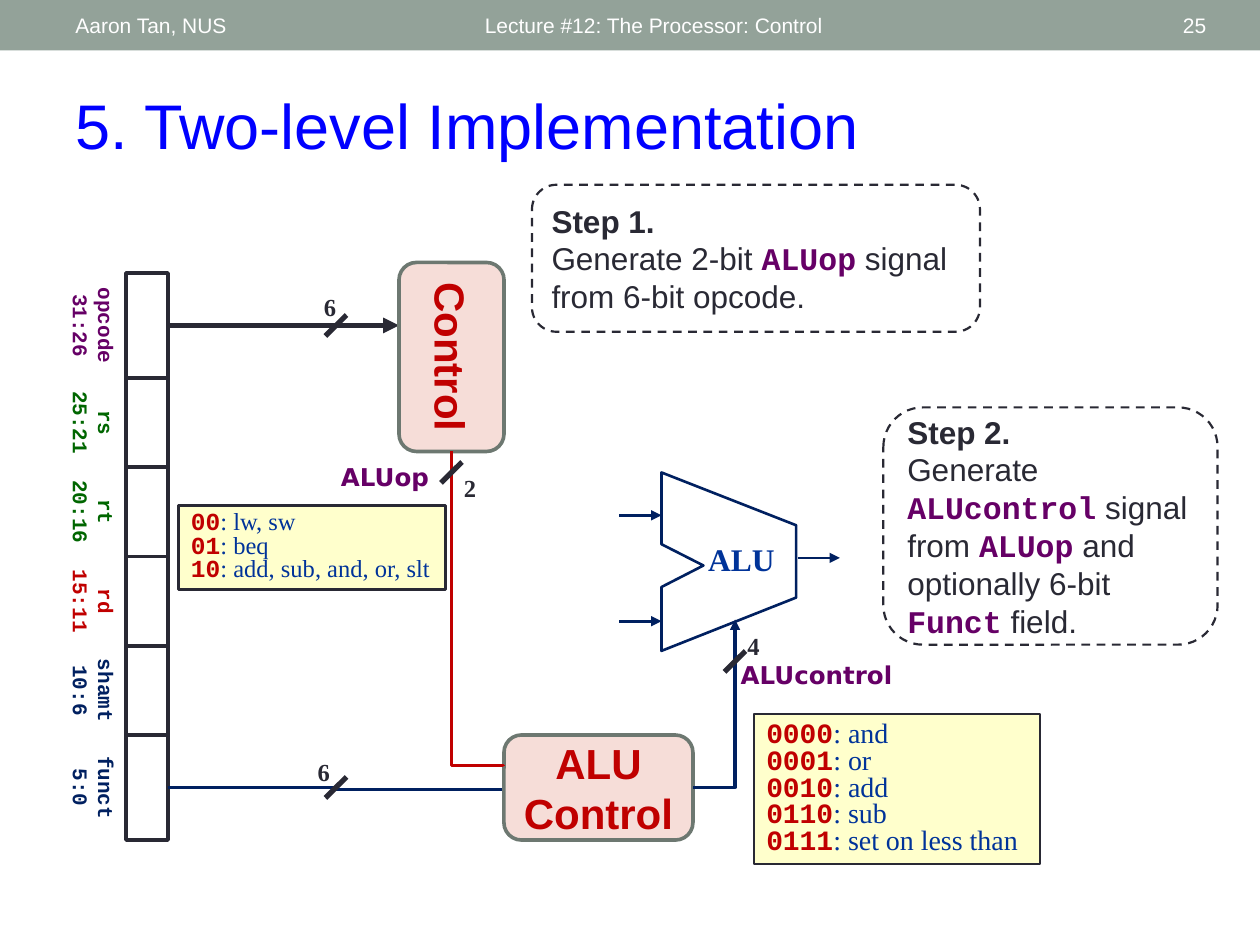
"""Builds the slide on the two-level implementation of ALU control."""
from lxml import etree
from pptx import Presentation
from pptx.dml.color import RGBColor
from pptx.enum.dml import MSO_LINE
from pptx.enum.shapes import MSO_CONNECTOR, MSO_SHAPE
from pptx.enum.text import MSO_ANCHOR, PP_ALIGN
from pptx.oxml.ns import qn
from pptx.util import Pt

LEFT, CENTER, RIGHT = PP_ALIGN.LEFT, PP_ALIGN.CENTER, PP_ALIGN.RIGHT
TOP, MIDDLE = MSO_ANCHOR.TOP, MSO_ANCHOR.MIDDLE
RECT, ROUND = MSO_SHAPE.RECTANGLE, MSO_SHAPE.ROUNDED_RECTANGLE
STRAIGHT, ELBOW = MSO_CONNECTOR.STRAIGHT, MSO_CONNECTOR.ELBOW
DASH = MSO_LINE.DASH

WHITE = RGBColor(0xFF, 0xFF, 0xFF)
SAGE = RGBColor(0x93, 0xA2, 0x99)
BLUE = RGBColor(0x00, 0x00, 0xFF)
DARK = RGBColor(0x29, 0x29, 0x34)
PURPLE = RGBColor(0x66, 0x00, 0x66)
GREEN = RGBColor(0x00, 0x66, 0x00)
RED = RGBColor(0xC0, 0x00, 0x00)
NAVY = RGBColor(0x00, 0x20, 0x60)
INK = RGBColor(0x00, 0x33, 0x99)
PINK = RGBColor(0xF6, 0xDD, 0xD8)
GREY = RGBColor(0x6D, 0x78, 0x71)
CREAM = RGBColor(0xFF, 0xFF, 0xCC)

SANS, MONO, SERIF, LABEL = "Arial", "Courier New", "Times New Roman", "DejaVu Sans"
BODY = (SANS, DARK, False)
STRONG = (SANS, DARK, True)
BLOCK = (SANS, RED, True)
SIGNAL = (MONO, PURPLE, True)
CODE = (MONO, RED, True)
MEANING = (SERIF, INK, False)
WIDTH = (SERIF, DARK, True)
HEADER = (SANS, WHITE, False)

TITLE = "5. Two-level Implementation"
HEADERS = [
    ("Lecture #12: The Processor: Control", 270, 324, LEFT),
    ("Aaron Tan, NUS", 36, 228, LEFT),
    ("25", 628, 68.4, RIGHT),
]
FIELDS = [
    ("opcode", "31:26", 60, PURPLE),
    ("rs", "25:21", 51, GREEN),
    ("rt", "20:16", 51, GREEN),
    ("rd", "15:11", 51, RED),
    ("shamt", "10:6", 51, NAVY),
    ("funct", "5:0", 60, NAVY),
]
BLOCKS = [("Control", (204, 174, 108, 60), 90), ("ALU Control", (288, 420, 108, 60), 0)]
STEPS = [
    ((304, 105.6, 256, 84), "Step 1.",
     [("Generate 2-bit ", BODY), ("ALUop", SIGNAL), (" signal from 6-bit opcode.", BODY)]),
    ((504.8, 232.8, 191, 135.6), "Step 2.",
     [("Generate ", BODY), ("ALUcontrol", SIGNAL), (" signal from ", BODY),
      ("ALUop", SIGNAL), (" and optionally 6-bit ", BODY), ("Funct", SIGNAL),
      (" field.", BODY)]),
]
LEGENDS = [
    ((102, 288.7, 152.6, 48.2), 14,
     [("00", "lw, sw"), ("01", "beq"), ("10", "add, sub, and, or, slt")]),
    ((430.8, 408, 163.5, 85.7), 16,
     [("0000", "and"), ("0001", "or"), ("0010", "add"), ("0110", "sub"),
      ("0111", "set on less than")]),
]
SIGNALS = [("ALUcontrol", (415.4, 373.5, 102.5, 24.2)), ("ALUop", (187.2, 260.4, 65.5, 24.2))]
BUSES = [("6", (192, 186), (188.6, 176.9)), ("6", (192, 450), (185, 442.4)),
         ("4", (420, 378), (430.6, 370.4)), ("2", (258, 270), (268.6, 280.4))]
ALU = [(378, 270), (455, 300.2), (455, 341.5), (378, 372),
       (378, 335.5), (402, 323.2), (378, 311)]
ALU_ARROWS = [(354, 294.5, 378), (354, 355, 378), (456, 318.8, 480)]

prs = Presentation()
prs.slide_width, prs.slide_height = Pt(720), Pt(540)
s = prs.slides.add_slide(prs.slide_layouts[5])


def write(sp, paras, size, align=LEFT, anchor=MIDDLE, spacing=None, wrap=True):
    tf = sp.text_frame
    tf.word_wrap, tf.vertical_anchor = wrap, anchor
    for i, runs in enumerate(paras):
        p = tf.paragraphs[0] if i == 0 else tf.add_paragraph()
        p.alignment, p.line_spacing, p.font.size = align, spacing, Pt(size)
        for text, (font, color, bold) in runs:
            r = p.add_run()
            r.text = text
            r.font.name, r.font.bold = font, bold
            r.font.color.rgb = color


def paint(sp, fill, line=None, width=1.0, dash=None):
    sp.shadow.inherit = False
    sp.fill.solid()
    sp.fill.fore_color.rgb = fill
    if line is None:
        sp.line.fill.background()
        return
    sp.line.color.rgb, sp.line.width, sp.line.dash_style = line, Pt(width), dash


def shape(kind, box, *style, rotation=0):
    sp = s.shapes.add_shape(kind, *map(Pt, box))
    sp.rotation = rotation
    paint(sp, *style)
    return sp


def text(box, paras, size, rotation=0, **layout):
    sp = s.shapes.add_textbox(*map(Pt, box))
    sp.rotation = rotation
    write(sp, paras, size, **layout)


def connect(kind, start, end, color, width, arrow=None):
    c = s.shapes.add_connector(kind, *map(Pt, start + end))
    c.line.color.rgb, c.line.width = color, Pt(width)
    if arrow:
        etree.SubElement(c.line._get_or_add_ln(), qn("a:" + arrow), type="triangle")
    etree.SubElement(c._element.spPr, qn("a:effectLst"))
    return c


def turn(c, degrees, flip="0", preset="bentConnector3", adjust=None):
    pr = c._element.spPr
    xfrm, geom = pr.find(qn("a:xfrm")), pr.find(qn("a:prstGeom"))
    xfrm.set("rot", str(degrees * 60000))
    xfrm.set("flipH", flip)
    geom.set("prst", preset)
    if adjust:
        guides = geom.find(qn("a:avLst"))
        etree.SubElement(guides, qn("a:gd"), name="adj1", fmla=f"val {adjust}")


shape(RECT, (0, 0, 720, 28.8), SAGE)
for label, x, w, align in HEADERS:
    text((x, 1.4, w, 26), [[(label, HEADER)]], 12, align=align)

title = s.shapes.title
title.left, title.top, title.width, title.height = map(Pt, (36, 46, 648, 51))
write(title, [[(TITLE, (SANS, BLUE, False))]], 36, anchor=TOP)

y = 156
for name, bits, h, color in FIELDS:
    mid = y + h / 2
    style = (MONO, color, True)
    text((53.6 - h / 2, mid - 18, h, 36), [[(name, style)], [(bits, style)]], 12,
         rotation=90, align=CENTER)
    shape(RECT, (84 - h / 2, mid - 12, h, 24), WHITE, DARK, 2.08, rotation=90)
    y += h

connect(STRAIGHT, (96, 186), (228, 186), DARK, 3, "tailEnd")
connect(ELBOW, (288, 451), (96, 450), NAVY, 1.75)
for name, box, rotation in BLOCKS:
    sp = shape(ROUND, box, PINK, GREY, 2.08, rotation=rotation)
    write(sp, [[(name, BLOCK)]], 24, align=CENTER)

fb = s.shapes.build_freeform(Pt(ALU[0][0]), Pt(ALU[0][1]), scale=1.0)
fb.add_line_segments([(Pt(px), Pt(py)) for px, py in ALU[1:]], close=True)
paint(fb.convert_to_shape(), WHITE, NAVY, 1.5)
text((397.4, 308.9, 52.6, 25.2), [[("ALU", (SERIF, INK, True))]], 18,
     align=CENTER, spacing=0.8, wrap=False)
for x1, ay, x2 in ALU_ARROWS:
    connect(STRAIGHT, (x1, ay), (x2, ay), NAVY, 1.5, "tailEnd")

turn(connect(ELBOW, (183, 333), (363, 363), RED, 1.75), 270, flip="1", adjust=99600)
turn(connect(ELBOW, (360, 390), (456, 414), NAVY, 1.75, "headEnd"), 90,
     preset="bentConnector2")

for bits, (cx, cy), (tx, ty) in BUSES:
    connect(STRAIGHT, (cx + 6, cy - 6), (cx - 6, cy + 6), DARK, 3)
    text((tx - 10.8, ty - 10.5, 21.6, 21), [[(bits, WIDTH)]], 14,
         align=CENTER, spacing=0.8, wrap=False)
for name, box in SIGNALS:
    text(box, [[(name, (LABEL, PURPLE, True))]], 14, align=CENTER, anchor=TOP, wrap=False)

for box, size, rows in LEGENDS:
    sp = shape(RECT, box, CREAM, DARK, 1.5)
    write(sp, [[(code, CODE), (": " + use, MEANING)] for code, use in rows], size,
          spacing=0.8, wrap=False)
for box, heading, runs in STEPS:
    sp = shape(ROUND, box, WHITE, DARK, 1.25, DASH)
    write(sp, [[(heading, STRONG)], runs], 18)

prs.save("out.pptx")
